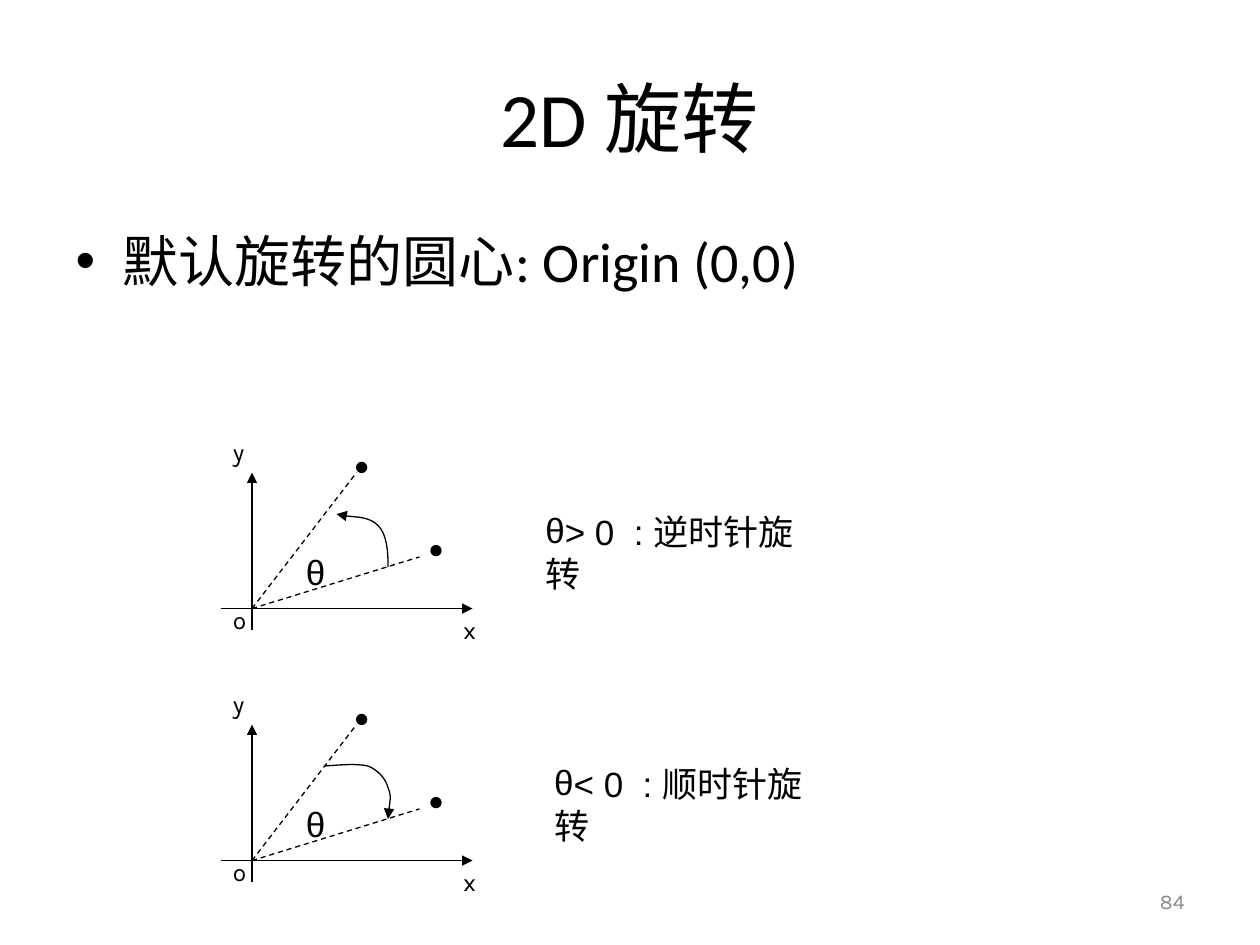
from dataclasses import dataclass

from lxml import etree
from pptx import Presentation
from pptx.dml.color import RGBColor
from pptx.enum.dml import MSO_LINE
from pptx.enum.shapes import MSO_CONNECTOR, MSO_SHAPE
from pptx.enum.text import MSO_ANCHOR, PP_ALIGN
from pptx.oxml.ns import qn
from pptx.util import Inches, Pt

STRAIGHT = MSO_CONNECTOR.STRAIGHT
OVAL = MSO_SHAPE.OVAL
DASH = MSO_LINE.DASH
CENTER, LEFT, RIGHT = PP_ALIGN.CENTER, PP_ALIGN.LEFT, PP_ALIGN.RIGHT
MIDDLE, TOP = MSO_ANCHOR.MIDDLE, MSO_ANCHOR.TOP


@dataclass(frozen=True)
class Theme:
    """Colours, fonts and sizes of the slide."""
    ink: RGBColor = RGBColor(0, 0, 0)
    muted: RGBColor = RGBColor(0x89, 0x89, 0x89)
    heading: str = "Calibri"
    label: str = "Arial"
    small: str = "Karla"
    title_size: int = 44
    body_size: int = 32
    label_size: int = 20
    axis_size: int = 14
    number_size: int = 12
    line: float = 0.75


THEME = Theme()
COUNTERCLOCKWISE = [(3.08, 4.5), (3.08, 4.37), (3.07, 4.24), (3, 4.17),
                    (2.93, 4.1), (2.72, 4.1), (2.67, 4.08)]
CLOCKWISE = [(2.58, 4.08), (2.71, 4.07), (2.83, 4.06), (2.92, 4.08),
             (3, 4.11), (3.06, 4.18), (3.08, 4.25),
             (3.11, 4.32), (3.08, 4.46), (3.08, 4.5)]


def write(p, text, font, size, color=THEME.ink, align=LEFT):
    """Add one formatted run to a paragraph."""
    p.alignment = align
    p.space_before = Pt(0)
    r = p.add_run()
    r.text = text
    r.font.name, r.font.size = font, Pt(size)
    r.font.color.rgb = color


def fill_placeholder(sp, box, text, size, align, anchor):
    """Place a template placeholder and write its text."""
    sp.left, sp.top, sp.width, sp.height = map(Inches, box)
    sp.text_frame.vertical_anchor = anchor
    write(sp.text_frame.paragraphs[0], text, THEME.heading, size, align=align)


def add_text(s, box, text, font, size, color=THEME.ink, align=LEFT, anchor=TOP, bullet=None):
    """Add a wrapped text box, with an optional bullet character."""
    tf = s.shapes.add_textbox(*map(Inches, box)).text_frame
    tf.word_wrap = True
    tf.vertical_anchor = anchor
    p = tf.paragraphs[0]
    if bullet:
        pPr = p._p.get_or_add_pPr()
        etree.SubElement(pPr, qn("a:buFont")).set("typeface", font)
        etree.SubElement(pPr, qn("a:buChar")).set("char", bullet)
    write(p, text, font, size, color, align)


def style_line(sp, arrow=False, dash=None):
    """Apply the common stroke, with an optional dash and end arrow."""
    sp.line.color.rgb = THEME.ink
    sp.line.width = Pt(THEME.line)
    if dash:
        sp.line.dash_style = dash
    if arrow:
        ln = sp.line._get_or_add_ln()
        etree.SubElement(ln, qn("a:tailEnd")).set("type", "triangle")


def add_line(s, start, end, **style):
    """Add a straight connector without a shadow."""
    cx = s.shapes.add_connector(STRAIGHT, *map(Inches, start + end))
    style_line(cx, **style)
    etree.SubElement(cx._element.spPr, qn("a:effectLst"))


def add_dot(s, x, y):
    """Add a small solid point."""
    sp = s.shapes.add_shape(OVAL, *map(Inches, (x, y, 0.08, 0.08)))
    sp.shadow.inherit = False
    sp.fill.solid()
    sp.fill.fore_color.rgb = THEME.ink
    style_line(sp)


def add_curve(s, points):
    """Add an arrow along cubic curves given by their control points."""
    pts = [(Inches(x), Inches(y)) for x, y in points]
    fb = s.shapes.build_freeform(*pts[0])
    fb.add_line_segments(pts[1:], close=False)
    sp = fb.convert_to_shape()
    sp.shadow.inherit = False
    sp.fill.background()
    style_line(sp, arrow=True)
    path = sp._element.find(".//" + qn("a:path"))
    segments = path.findall(qn("a:lnTo"))
    for i in range(0, len(segments), 3):
        curve = etree.SubElement(path, qn("a:cubicBezTo"))
        for segment in segments[i:i + 3]:
            curve.append(segment[0])
            path.remove(segment)


def add_rotation(s, dy, arc, caption_left, caption):
    """Draw one rotation diagram, moved down by dy, and its caption."""
    origin = (2, 4.83 + dy)
    add_line(s, (2, 5 + dy), (2, 3.75 + dy), arrow=True)
    add_line(s, (1.75, 4.83 + dy), (3.75, 4.83 + dy), arrow=True)
    for end, dot in (((3.33, 4.42), (3.42, 4.33)), ((2.83, 3.75), (2.83, 3.67))):
        add_line(s, origin, (end[0], end[1] + dy), dash=DASH)
        add_dot(s, dot[0], dot[1] + dy)
    add_text(s, (2.33, 4.32 + dy, 0.35, 0.43), "θ", THEME.label, THEME.label_size)
    add_curve(s, [(x, y + dy) for x, y in arc])
    for name, x, y in (("x", 3.58, 4.83), ("y", 1.75, 3.42), ("o", 1.75, 4.75)):
        add_text(s, (x, y + dy, 0.33, 0.33), name, THEME.small, THEME.axis_size)
    add_text(s, (caption_left, 4 + dy, 2.4, 0.44), caption, THEME.label,
             THEME.label_size, bullet="θ")


def main():
    """Build and save the slide."""
    prs = Presentation()
    prs.slide_width, prs.slide_height = Inches(10), Inches(7.5)
    s = prs.slides.add_slide(prs.slide_layouts[1])
    fill_placeholder(s.shapes.title, (0.5, 0.3, 9, 1.25), "2D 旋转",
                     THEME.title_size, CENTER, MIDDLE)
    fill_placeholder(s.placeholders[1], (0.5, 1.75, 9, 4.95),
                     "默认旋转的圆心: Origin (0,0)", THEME.body_size, LEFT, TOP)
    add_rotation(s, 0, COUNTERCLOCKWISE, 4.23, "> 0  : 逆时针旋转")
    add_rotation(s, 2, CLOCKWISE, 4.3, "< 0  : 顺时针旋转")
    add_text(s, (7.17, 6.95, 2.33, 0.4), "84", THEME.small, THEME.number_size,
             THEME.muted, RIGHT, MIDDLE)
    prs.save("out.pptx")


if __name__ == "__main__":
    main()
